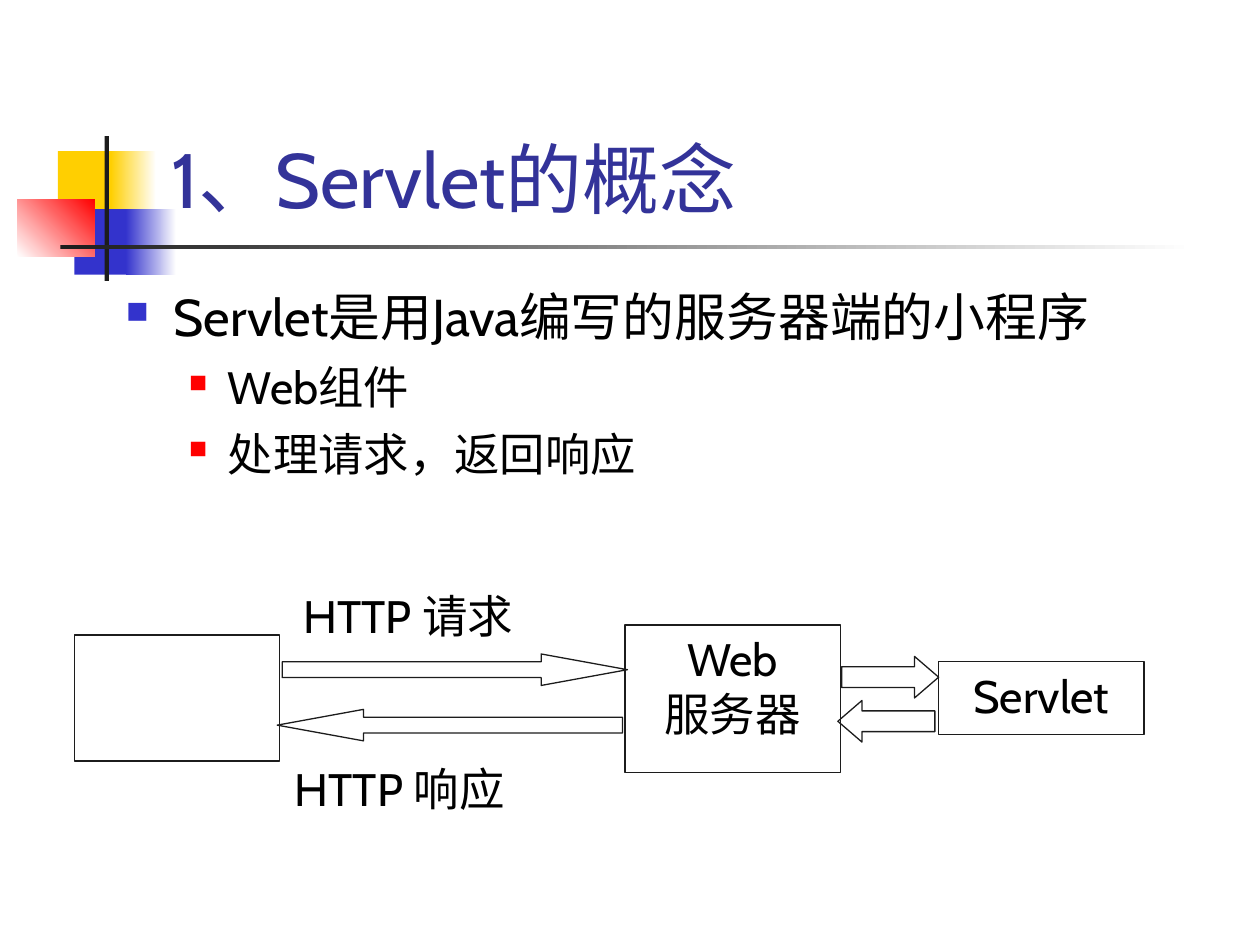
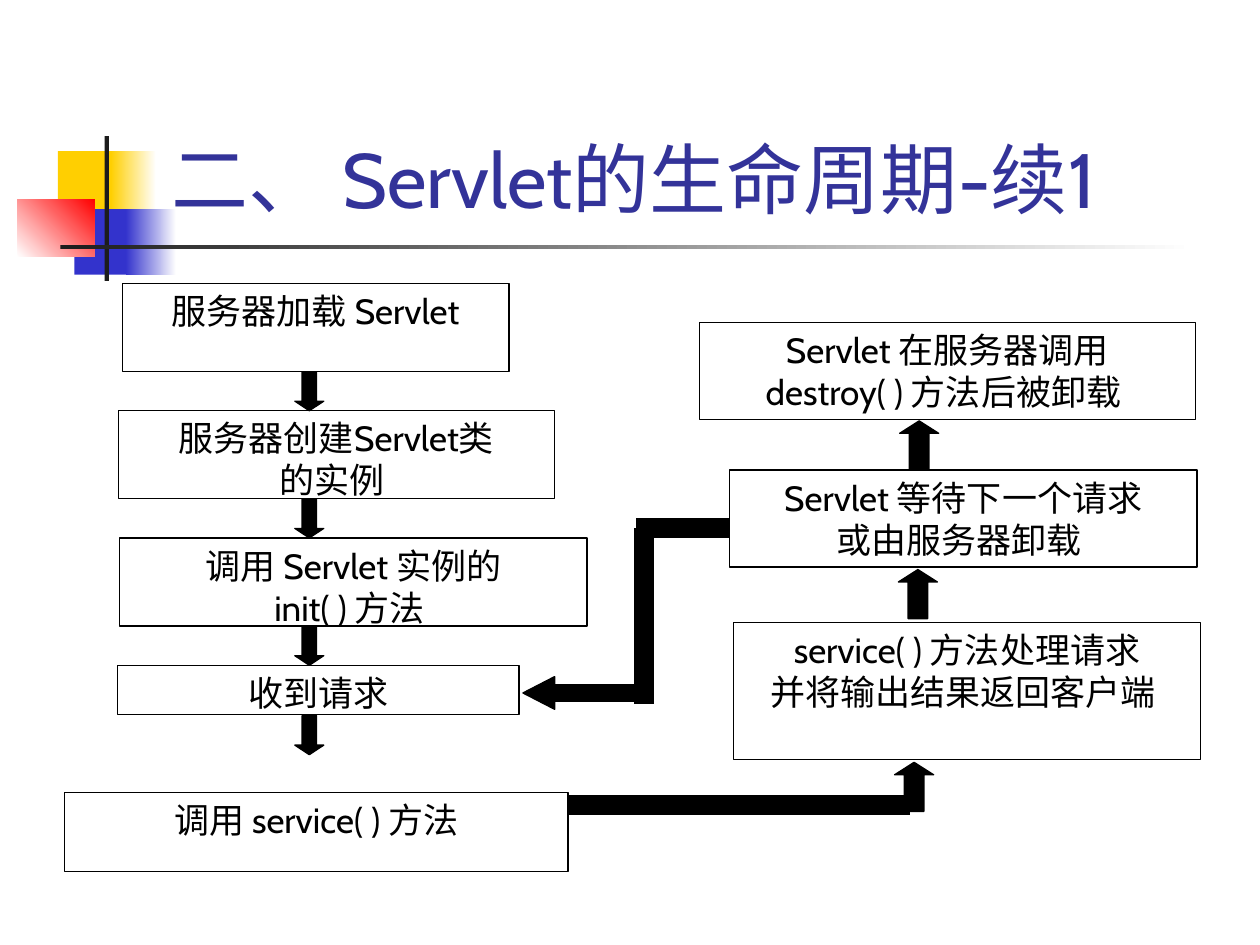
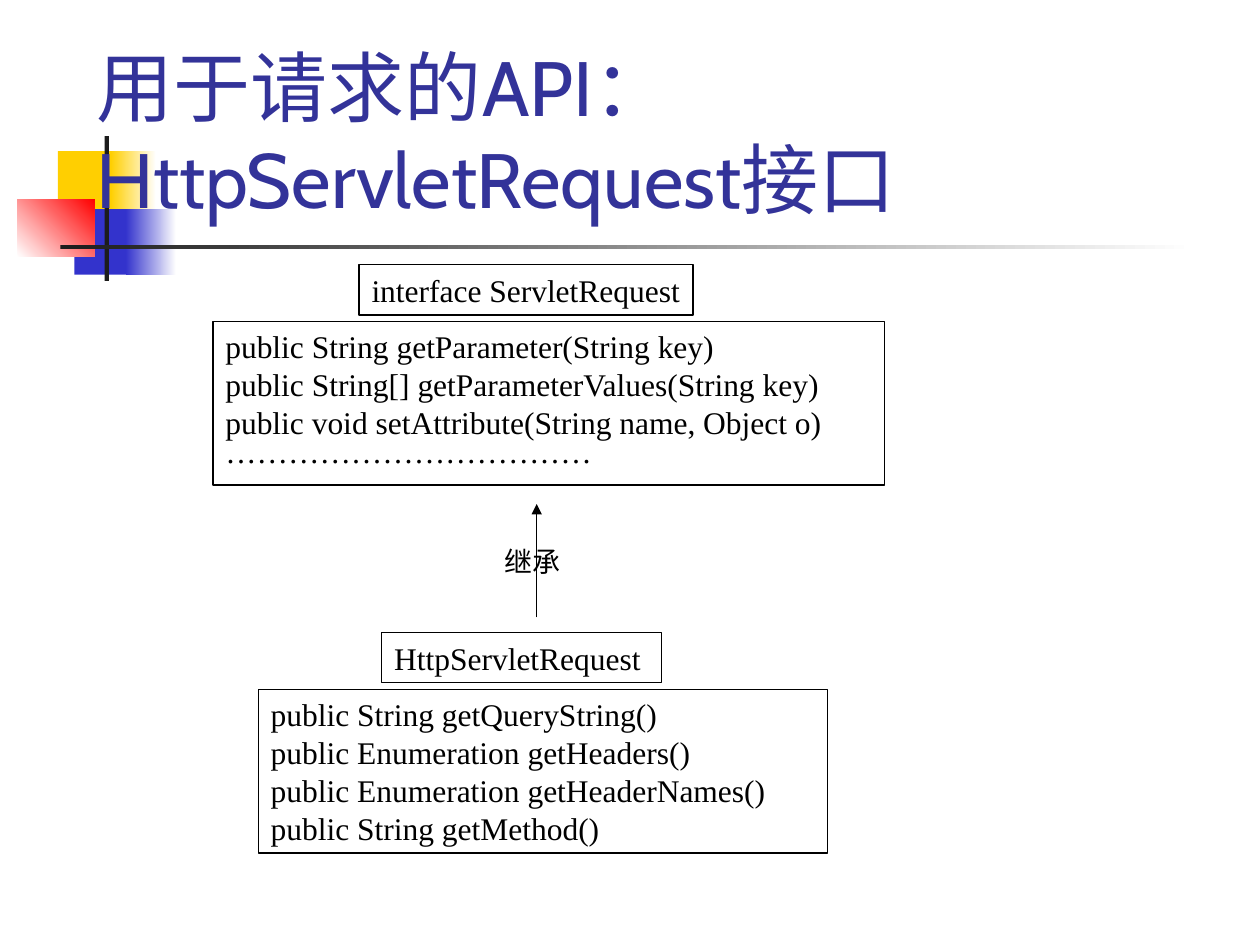
import pptx
import pptx.dml.color
import pptx.enum.dml
import pptx.enum.shapes
import pptx.enum.text
import pptx.oxml.ns
import pptx.util
from lxml import etree

SHAPES = pptx.enum.shapes.MSO_SHAPE
ALIGN = pptx.enum.text.PP_ALIGN
ANCHOR = pptx.enum.text.MSO_ANCHOR

COLORS = {
    "title": "333399",
    "text": "000000",
    "paper": "FFFFFF",
    "ink": "1C1C1C",
    "yellow": "FFCF01",
    "blue": "3333CC",
    "red": "FF0000",
}
SANS, SERIF = "Cabin", "Times New Roman"
COLUMNS, ROWS = 100, 75


def color(name):
    return pptx.dml.color.RGBColor.from_string(COLORS[name])


def add_xml(parent, tag, **attributes):
    return etree.SubElement(parent, pptx.oxml.ns.qn(tag), attributes)


class Deck:
    """Presentation style plus the slide being filled; lengths are grid columns and rows."""

    def __init__(self):
        self.presentation = pptx.Presentation()
        self.presentation.slide_width = pptx.util.Inches(10)
        self.presentation.slide_height = pptx.util.Inches(7.5)
        self.slide = None

    def across(self, columns):
        return round(self.presentation.slide_width * columns / COLUMNS)

    def down(self, rows):
        return round(self.presentation.slide_height * rows / ROWS)

    def area(self, left, top, width, height):
        return self.across(left), self.down(top), self.across(width), self.down(height)

    def new_slide(self, title, title_area=(12.6, 2.3, 85.2, 16), anchor=ANCHOR.BOTTOM):
        self.slide = self.presentation.slides.add_slide(self.presentation.slide_layouts[6])
        self.ornament()
        self.text(title_area, [title], 44, tint="title", anchor=anchor)

    def ornament(self):
        self.shape((4.6, 12, 4.8, 5.2), fill="yellow")
        self.gradient((8.8, 12, 3.6, 5.2), "yellow", "paper")
        self.shape((5.9, 16.6, 4.6, 5.2), fill="blue")
        self.gradient((10, 16.6, 4, 5.2), "blue", "paper")
        self.gradient((1.4, 15.8, 6.1, 4.6), "paper", "red", angle=45)
        self.shape((8.3, 10.8, 0.35, 11.5), fill="ink")
        self.gradient((4.8, 19.45, 90, 0.35), "ink", "paper")

    def shape(self, area, kind=SHAPES.RECTANGLE, fill=None, line=None, adjustments=()):
        shape = self.slide.shapes.add_shape(kind, *self.area(*area))
        shape.shadow.inherit = False
        if fill:
            shape.fill.solid()
            shape.fill.fore_color.rgb = color(fill)
        else:
            shape.fill.background()
        if line:
            shape.line.color.rgb = color(line)
            shape.line.width = pptx.util.Pt(0.75)
        else:
            shape.line.fill.background()
        for index, value in enumerate(adjustments):
            shape.adjustments[index] = value
        return shape

    def gradient(self, area, start, end, angle=0):
        fill = self.shape(area).fill
        fill.gradient()
        fill.gradient_angle = angle
        for stop, name in zip(fill.gradient_stops, (start, end)):
            stop.color.rgb = color(name)

    def set_text(self, shape, lines, size, font=SANS, tint="text", align=ALIGN.LEFT,
                 anchor=ANCHOR.TOP, wrap=True):
        text_frame = shape.text_frame
        text_frame.word_wrap = wrap
        text_frame.vertical_anchor = anchor
        text_frame.text = "\n".join(lines)
        for paragraph in text_frame.paragraphs:
            paragraph.alignment = align
            for run in paragraph.runs:
                run.font.name = font
                run.font.size = pptx.util.Pt(size)
                run.font.color.rgb = color(tint)
        return text_frame

    def text(self, area, lines, size, **style):
        text_box = self.slide.shapes.add_textbox(*self.area(*area))
        return self.set_text(text_box, lines, size, **style)

    def box(self, area, lines, size, line="text", align=ALIGN.CENTER, **style):
        self.set_text(self.shape(area, line=line), lines, size, align=align, **style)

    def bullets(self, area, items):
        levels = [(3.8, 3.8, "blue", "60000", 29.6), (8.1, 3.1, "red", "55000", 25.9)]
        text_frame = self.text(area, [line for _, line in items], 29.6)
        for index, (paragraph, (level, _)) in enumerate(zip(text_frame.paragraphs, items)):
            margin, hanging, tint, share, size = levels[level]
            paragraph.level = level
            if index:
                paragraph.space_before = pptx.util.Pt(7)
            properties = paragraph._p.get_or_add_pPr()
            properties.set("marL", str(self.across(margin)))
            properties.set("indent", str(-self.across(hanging)))
            add_xml(add_xml(properties, "a:buClr"), "a:srgbClr", val=COLORS[tint])
            add_xml(properties, "a:buSzPct", val=share)
            add_xml(properties, "a:buChar", char="■")
            for run in paragraph.runs:
                run.font.size = pptx.util.Pt(size)

    def connector(self, start, end, width=0.75, arrow=False):
        connector = self.slide.shapes.add_connector(
            pptx.enum.shapes.MSO_CONNECTOR.STRAIGHT,
            self.across(start[0]), self.down(start[1]), self.across(end[0]), self.down(end[1]))
        connector.line.color.rgb = color("text")
        connector.line.width = pptx.util.Pt(width)
        if arrow:
            add_xml(connector.line._get_or_add_ln(), "a:tailEnd", type="triangle")
        add_xml(connector._element.spPr, "a:effectLst")


def concept_slide(deck):
    deck.new_slide("1、Servlet的概念")
    deck.bullets((9, 22.1, 88.9, 22.5), [
        (0, "Servlet是用Java编写的服务器端的小程序"),
        (1, "Web组件"),
        (1, "处理请求，返回响应"),
    ])
    # Client, server and servlet
    deck.shape((5.9, 50.4, 16.3, 10), line="ink")
    deck.box((49.6, 49.6, 17.1, 11.7), ["Web", "服务器"], 26, line="ink")
    deck.box((74.5, 52.5, 16.3, 5.8), ["Servlet"], 26, line="ink")
    deck.text((23.1, 46.2, 33.5, 5), ["HTTP 请求"], 26)
    deck.text((22.4, 59.9, 30, 5.8), ["HTTP 响应"], 26)
    # Requests go right, responses go left
    long_head, short_head = (0.5, 2.74), (0.5, 0.58)
    deck.shape((22.4, 51.9, 27.4, 2.5), SHAPES.RIGHT_ARROW, line="ink", adjustments=long_head)
    deck.shape((66.8, 52.1, 7.7, 3.3), SHAPES.RIGHT_ARROW, line="ink", adjustments=short_head)
    response = deck.shape((22, 56.3, 27.4, 2.5), SHAPES.RIGHT_ARROW, line="ink",
                          adjustments=long_head)
    response.rotation = 180
    deck.shape((66.5, 55.6, 7.7, 3.3), SHAPES.LEFT_ARROW, line="ink", adjustments=short_head)


def life_cycle_slide(deck):
    deck.new_slide("二、 Servlet的生命周期-续1")

    def block_arrow(area, kind, head):
        deck.shape(area, kind, fill="text", line="text", adjustments=(0.5, head))

    # Steps down the left, each followed by an arrow
    steps = [
        (9.7, 30.7, 7, 0, SANS, ["服务器加载 Servlet"]),
        (9.4, 34.6, 7, 0, SANS, ["服务器创建Servlet类", "的实例 "]),
        (9.5, 37.1, 7, 0, SANS, ["调用 Servlet 实例的", "init( ) 方法 "]),
        (9.3, 31.9, 3.9, 0.1, SERIF, ["收到请求"]),
    ]
    for index, (left, width, height, gap, font, lines) in enumerate(steps):
        top = 22.5 + 10.1 * index
        deck.box((left, top, width, height), lines, 20, font=font)
        block_arrow((23.4, top + height + gap, 2.3, 3.1), SHAPES.DOWN_ARROW, 0.33)
    deck.box((5.1, 62.9, 40, 6.3), ["调用 service( ) 方法"], 20)

    # Steps up the right
    deck.box((58.2, 49.4, 37.1, 10.9), ["service( ) 方法处理请求", "并将输出结果返回客户端 "], 20)
    deck.box((57.9, 37.3, 37.1, 7.7), ["Servlet 等待下一个请求", "或由服务器卸载 "], 20)
    deck.box((55.5, 25.6, 39.4, 7.7), ["Servlet 在服务器调用", "destroy( ) 方法后被卸载 "], 20)
    for left, top in ((71.3, 45.2), (71.4, 33.4), (71, 60.5)):
        block_arrow((left, top, 3.1, 3.9), SHAPES.UP_ARROW, 0.32)

    # Loop back to the next request, and the way across to service()
    block_arrow((41.5, 53.7, 10.1, 2.6), SHAPES.LEFT_ARROW, 0.97)
    for start, end in (((50.5, 41.9), (57.9, 41.9)),
                       ((51.1, 41.9), (51.1, 55.9)),
                       ((45.2, 63.9), (72.2, 63.9))):
        deck.connector(start, end, width=11.5)


def request_api_slide(deck):
    deck.new_slide("用于请求的API：\vHttpServletRequest接口", (6.7, 4.2, 85, 12.5), ANCHOR.MIDDLE)
    code = {"size": 18, "font": SERIF, "align": ALIGN.LEFT}
    # Derived interface
    deck.box((30.3, 50.2, 22.2, 4), ["HttpServletRequest"], wrap=False, **code)
    deck.box((20.5, 54.7, 45.2, 13), [
        "public String getQueryString()",
        "public Enumeration getHeaders()",
        "public Enumeration getHeaderNames() public String getMethod()",
    ], **code)
    # Inheritance
    deck.connector((42.6, 49), (42.6, 40), arrow=True)
    deck.text((39.1, 42.7, 6.4, 3.7), ["继承"], 16, font=SERIF, wrap=False)
    # Base interface
    deck.box((28.5, 21, 26.5, 4), ["interface ServletRequest"], wrap=False, **code)
    deck.box((16.9, 25.5, 53.3, 13), [
        "public String getParameter(String key)",
        "public String[] getParameterValues(String key)",
        "public void setAttribute(String name, Object o)",
        "·" * 35,
    ], **code)


def main():
    deck = Deck()
    concept_slide(deck)
    life_cycle_slide(deck)
    request_api_slide(deck)
    deck.presentation.save("out.pptx")


if __name__ == "__main__":
    main()
